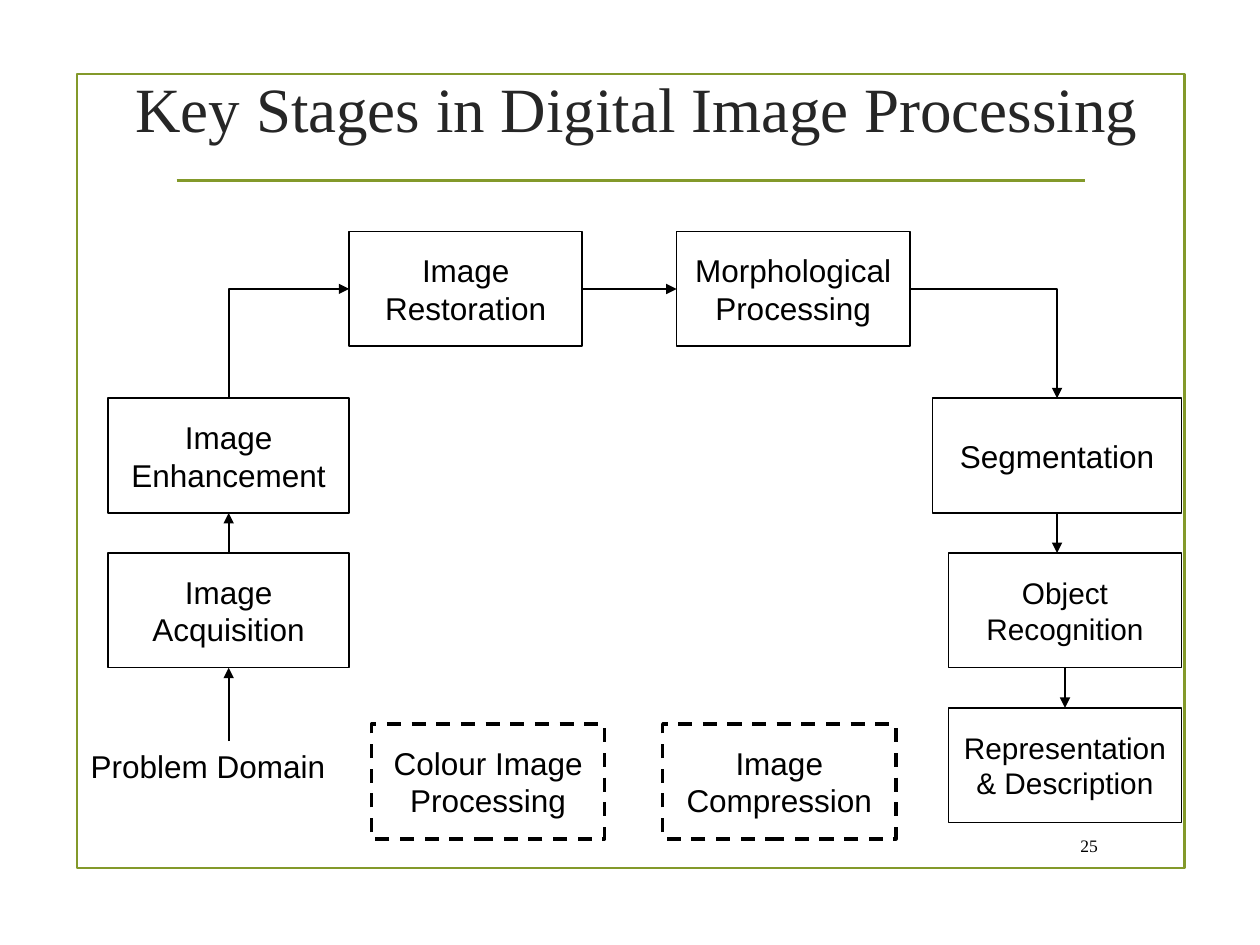
"""Build the slide showing the key stages in digital image processing."""
import pptx
import pptx.dml.color
import pptx.enum.dml
import pptx.enum.shapes
import pptx.enum.text
import pptx.oxml.ns
import pptx.util
from lxml import etree

Cm, Pt = pptx.util.Cm, pptx.util.Pt
ALIGN = pptx.enum.text.PP_ALIGN
ANCHOR = pptx.enum.text.MSO_ANCHOR
CONNECTOR = pptx.enum.shapes.MSO_CONNECTOR
TOP, LEFT, BOTTOM, RIGHT = range(4)

BLACK, WHITE, GREEN, GREY = "000000", "FFFFFF", "83992A", "262626"
TITLE = "Key Stages in Digital Image Processing"
BOX_H, BOX_W = 2.31, 4.7
ARCH_Y, SIDE_Y, PITCH, EXTRA_Y = 4.67, 8.03, 3.12, 14.6
SIDE_ROWS = [SIDE_Y + PITCH * i for i in range(3)]

STAGES = {
    "Image Acquisition": (2.18, SIDE_ROWS[1], 4.86, 18),
    "Image Enhancement": (2.18, SIDE_ROWS[0], 4.86, 18),
    "Image Restoration": (7.04, ARCH_Y, BOX_W, 18),
    "Morphological Processing": (13.64, ARCH_Y, BOX_W, 18),
    "Segmentation": (18.8, SIDE_ROWS[0], 5.02, 18),
    "Object Recognition": (19.12, SIDE_ROWS[1], BOX_W, 17),
    "Representation & Description": (19.12, SIDE_ROWS[2], BOX_W, 17),
}
EXTRAS = {
    "Colour Image Processing": (7.49, EXTRA_Y, BOX_W, 18),
    "Image Compression": (13.36, EXTRA_Y, BOX_W, 18),
}
STRAIGHT_LINKS = [
    ("Image Acquisition", TOP, "Image Enhancement", BOTTOM),
    ("Image Restoration", RIGHT, "Morphological Processing", LEFT),
    ("Object Recognition", BOTTOM, "Representation & Description", TOP),
]


def rgb(color):
    return pptx.dml.color.RGBColor.from_string(color)


def set_text(sp, text, size, font="Arial", color=BLACK, align=ALIGN.CENTER, anchor=ANCHOR.MIDDLE):
    tf = sp.text_frame
    tf.word_wrap = True
    tf.vertical_anchor = anchor
    p = tf.paragraphs[0]
    p.text = text
    p.alignment = align
    p.font.name, p.font.size = font, Pt(size)
    p.font.color.rgb = rgb(color)


def add_rect(shapes, x, y, w, h, color, width, fill=None):
    sp = shapes.add_shape(pptx.enum.shapes.MSO_SHAPE.RECTANGLE, Cm(x), Cm(y), Cm(w), Cm(h))
    sp.shadow.inherit = False
    if fill:
        sp.fill.solid()
        sp.fill.fore_color.rgb = rgb(fill)
    else:
        sp.fill.background()
    sp.line.color.rgb = rgb(color)
    sp.line.width = Pt(width)
    return sp


def add_box(shapes, text, x, y, w, size, width=1):
    sp = add_rect(shapes, x, y, w, BOX_H, BLACK, width, WHITE)
    set_text(sp, text, size)
    return sp


def add_line(shapes, x1, y1, x2, y2, kind=CONNECTOR.STRAIGHT, color=BLACK, width=1, arrow=True):
    line = shapes.add_connector(kind, x1, y1, x2, y2)
    line.line.color.rgb = rgb(color)
    line.line.width = Pt(width)
    if arrow:
        ln = line.line._get_or_add_ln()
        etree.SubElement(ln, pptx.oxml.ns.qn("a:tailEnd"), type="triangle")
    etree.SubElement(line._element.spPr, pptx.oxml.ns.qn("a:effectLst"))
    return line


def join(shapes, start, start_side, end, end_side, kind=CONNECTOR.STRAIGHT):
    line = add_line(shapes, 0, 0, 0, 0, kind)
    line.begin_connect(start, start_side)
    line.end_connect(end, end_side)
    return line


def make_corner(line, up_first=False):
    """Give an elbow a single bend, leaving sideways or upwards."""
    spPr = line._element.spPr
    spPr.find(pptx.oxml.ns.qn("a:prstGeom")).set("prst", "bentConnector2")
    if up_first:
        x, y, w, h = line.left, line.top, line.width, line.height
        line.left, line.top = x + (w - h) // 2, y + (h - w) // 2
        line.width, line.height = h, w
        xfrm = spPr.find(pptx.oxml.ns.qn("a:xfrm"))
        for name, value in (("rot", "5400000"), ("flipH", "1"), ("flipV", "1")):
            xfrm.set(name, value)


def add_label(shapes, text, x, y, w, h, size, **style):
    sp = shapes.add_textbox(Cm(x), Cm(y), Cm(w), Cm(h))
    set_text(sp, text, size, **style)


def main():
    prs = pptx.Presentation()
    prs.slide_width, prs.slide_height = Cm(25.4), Cm(19.05)
    s = prs.slides.add_slide(prs.slide_layouts[5])
    shapes = s.shapes

    add_rect(shapes, 1.55, 1.5, 22.33, 16, GREEN, 1.25)
    add_line(shapes, Cm(3.56), Cm(3.64), Cm(21.87), Cm(3.64), color=GREEN, width=1.25, arrow=False)
    title = shapes.title
    title.left, title.top, title.width, title.height = Cm(2.18), Cm(0.76), Cm(21.31), Cm(2.79)
    set_text(title, TITLE, 36, "Times New Roman", GREY)

    boxes = {text: add_box(shapes, text, *place) for text, place in STAGES.items()}
    for text, place in EXTRAS.items():
        add_box(shapes, text, *place, width=2).line.dash_style = pptx.enum.dml.MSO_LINE.DASH

    for start, start_side, end, end_side in STRAIGHT_LINKS:
        join(shapes, boxes[start], start_side, boxes[end], end_side)
    acquisition, segmentation = boxes["Image Acquisition"], boxes["Segmentation"]
    make_corner(join(shapes, boxes["Image Enhancement"], TOP,
                     boxes["Image Restoration"], LEFT, CONNECTOR.ELBOW), up_first=True)
    make_corner(join(shapes, boxes["Morphological Processing"], RIGHT,
                     segmentation, TOP, CONNECTOR.ELBOW))

    x = acquisition.left + acquisition.width // 2
    add_line(shapes, x, Cm(14.94), x, Cm(13.46)).end_connect(acquisition, BOTTOM)
    x = segmentation.left + segmentation.width // 2
    add_line(shapes, x, Cm(10.34), x, Cm(SIDE_ROWS[1])).begin_connect(segmentation, BOTTOM)

    add_label(shapes, "Problem Domain", 1.58, 14.94, 5.44, 1.02, 18, align=ALIGN.LEFT, anchor=ANCHOR.TOP)
    add_label(shapes, "25", 21.28, 16.66, 1.1, 0.79, 10, font="Times New Roman", align=ALIGN.RIGHT)
    prs.save("out.pptx")


if __name__ == "__main__":
    main()
